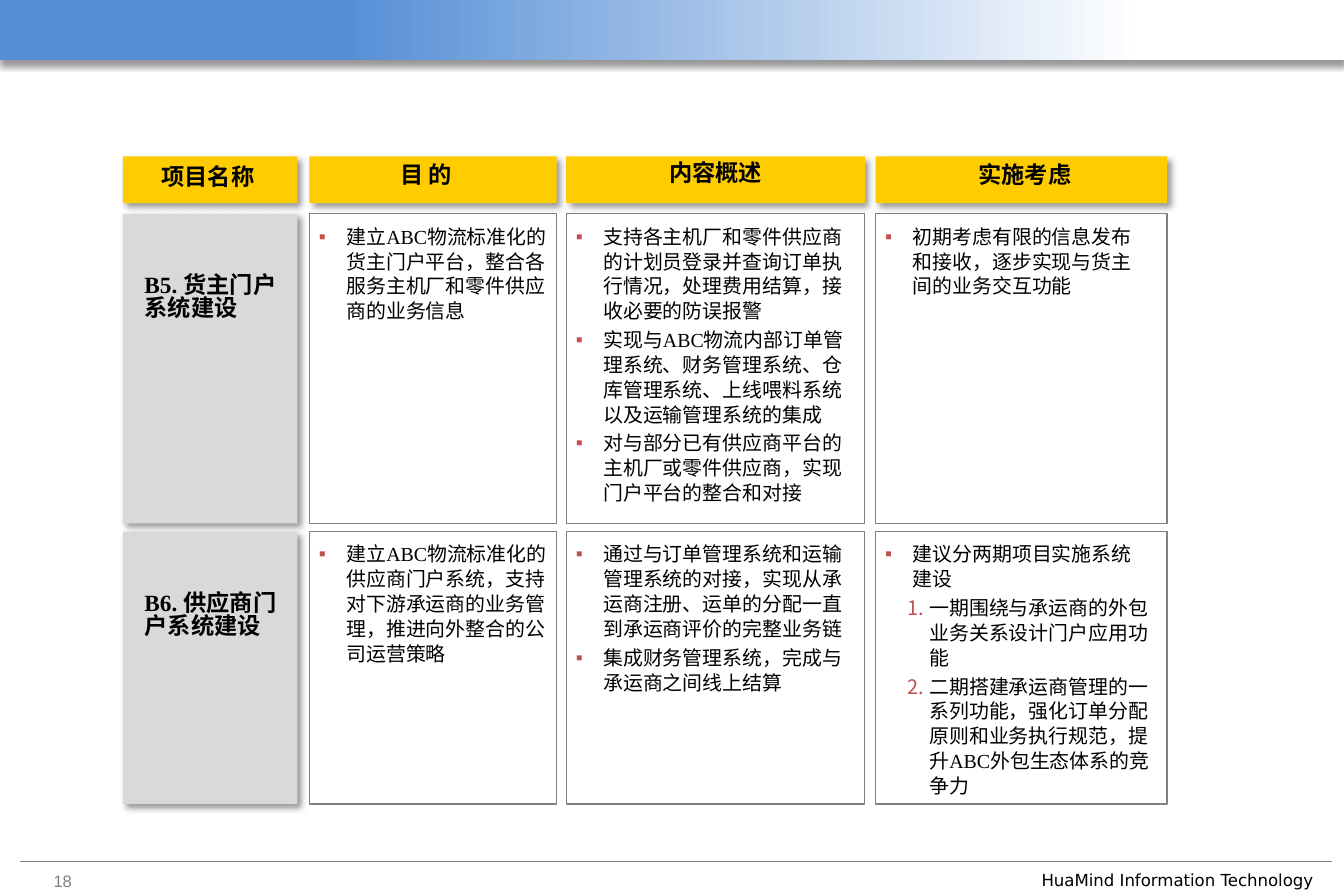
from lxml import etree
from pptx import Presentation
from pptx.dml.color import RGBColor
from pptx.enum.shapes import MSO_CONNECTOR, MSO_SHAPE
from pptx.oxml import parse_xml
from pptx.oxml.ns import qn
from pptx.util import Inches, Pt

RECT = MSO_SHAPE.RECTANGLE
STRAIGHT = MSO_CONNECTOR.STRAIGHT
DRAWING_NS = "http://schemas.openxmlformats.org/drawingml/2006/main"

THEME = {
    "band": "558ED5", "paper": "FFFFFF", "header": "FFCC00", "label": "D9D9D9",
    "rule": "808080", "ink": "000000", "bullet": "C0504D",
    "heading": {"name": "Times New Roman", "size": Pt(14), "bold": True},
    "body": {"name": "Times New Roman", "size": Pt(12)},
    "footer": {"name": "DejaVu Sans", "size": Pt(10)},
    "number": {"name": "Arial", "size": Pt(10)},
}
RGB = {k: RGBColor.from_string(v) for k, v in THEME.items() if isinstance(v, str)}
TIGHT = {"margin_left": 0, "margin_top": 0, "margin_right": 0,
         "margin_bottom": Inches(0.04), "word_wrap": True}

W, H = 11.25, 7.5
prs = Presentation()
prs.slide_width, prs.slide_height = Inches(W), Inches(H)
s = prs.slides.add_slide(prs.slide_layouts[6])


def add_box(x, y, w, h, fill=None, angle=None):
    sp = s.shapes.add_shape(RECT, *map(Inches, (x, y, w, h)))
    sp.shadow.inherit = False
    if fill:
        sp.fill.solid()
        sp.fill.fore_color.rgb = RGB[fill]
        sp.line.fill.background()
    else:
        sp.fill.background()
        sp.line.color.rgb = RGB["rule"]
        sp.line.width = Pt(0.75)
    if angle:
        sp._element.spPr.find(qn("a:effectLst")).append(parse_xml(
            f'<a:outerShdw xmlns:a="{DRAWING_NS}" blurRad="{Pt(4)}" dist="{Pt(3)}" '
            f'dir="{angle * 60000}" algn="tl" rotWithShape="0"><a:srgbClr val="{THEME["ink"]}">'
            '<a:alpha val="40000"/></a:srgbClr></a:outerShdw>'))
    return sp


def add_text(x, y, w, h, lines, style, frame=TIGHT, color="ink", spacing=None):
    tf = s.shapes.add_textbox(*map(Inches, (x, y, w, h))).text_frame
    for name, value in frame.items():
        setattr(tf, name, value)
    for i, line in enumerate(lines):
        p = tf.add_paragraph() if i else tf.paragraphs[0]
        p.line_spacing = spacing
        r = p.add_run()
        r.text = line
        for name, value in THEME[style].items():
            setattr(r.font, name, value)
        r.font.color.rgb = RGB[color]
    return tf


rule = s.shapes.add_connector(STRAIGHT, *map(Inches, (0.17, 7.21, 11.15, 7.21)))
rule.line.color.rgb = RGB["rule"]
rule.line.width = Pt(0.5)
etree.SubElement(rule._element.spPr, qn("a:effectLst"))

band = add_box(0, 0, W, H / 15, "band", 90)
band.fill.gradient()
band.fill.gradient_angle = 180
for stop, (position, color) in zip(band.fill.gradient_stops, ((0.15, "paper"), (0.75, "band"))):
    stop.position = position
    stop.color.rgb = RGB[color]

add_text(8.62, 7.23, 2.65, 0.27, ["HuaMind Information Technology"], "footer", {"word_wrap": False})
add_text(0.35, 7.24, 0.63, 0.3, ["18"], "number", {"word_wrap": True}, "rule")

COLUMNS = [
    {"x": 1.03, "w": 1.46, "head": "项目名称", "head_x": 1.35, "head_y": 1.45},
    {"x": 2.59, "w": 2.07, "head": "目 的", "head_x": 3.35, "head_y": 1.43, "text_w": 1.91},
    {"x": 4.74, "w": 2.5, "head": "内容概述", "head_x": 5.6, "head_y": 1.41, "text_w": 2.36},
    {"x": 7.33, "w": 2.44, "head": "实施考虑", "head_x": 8.19, "head_y": 1.43, "text_w": 2.22},
]
ROWS = [
    {"y": 1.79, "h": 2.59, "name": "B5. 货主门户系统建设", "lists": [
        ["建立ABC物流标准化的货主门户平台，整合各服务主机厂和零件供应商的业务信息"],
        ["支持各主机厂和零件供应商的计划员登录并查询订单执行情况，处理费用结算，接收必要的防误报警",
         "实现与ABC物流内部订单管理系统、财务管理系统、仓库管理系统、上线喂料系统以及运输管理系统的集成",
         "对与部分已有供应商平台的主机厂或零件供应商，实现门户平台的整合和对接"],
        ["初期考虑有限的信息发布和接收，逐步实现与货主间的业务交互功能"]]},
    {"y": 4.45, "h": 2.28, "name": "B6. 供应商门户系统建设", "lists": [
        ["建立ABC物流标准化的供应商门户系统，支持对下游承运商的业务管理，推进向外整合的公司运营策略"],
        ["通过与订单管理系统和运输管理系统的对接，实现从承运商注册、运单的分配一直到承运商评价的完整业务链",
         "集成财务管理系统，完成与承运商之间线上结算"],
        ["建议分两期项目实施系统建设",
         "一期围绕与承运商的外包业务关系设计门户应用功能",
         "二期搭建承运商管理的一系列功能，强化订单分配原则和业务执行规范，提升ABC外包生态体系的竞争力"]]},
]
NUMBERED = ("一期", "二期")

for col in COLUMNS:
    add_box(col["x"], 1.31, col["w"], 0.39, "header", 45)
    add_text(col["head_x"], col["head_y"], 1.39, 0.21, [col["head"]], "heading", spacing=Pt(10.5))

for row in ROWS:
    y, h = row["y"], row["h"]
    add_box(COLUMNS[0]["x"], y, COLUMNS[0]["w"], h, "label", 45)
    add_text(1.21, y + 0.51, 1.16, 0.44, [row["name"]], "heading", spacing=Pt(14))
    for col, items in zip(COLUMNS[1:], row["lists"]):
        add_box(col["x"], y, col["w"], h)
        tf = add_text(col["x"] + 0.08, y + 0.08, col["text_w"], h - 0.15, items, "body", spacing=1.04)
        for p in tf.paragraphs:
            numbered = p.text.startswith(NUMBERED)
            p.space_before = Pt(2.4)
            p.level = int(numbered)
            left, hang = (0.37, 0.18) if numbered else (0.23, 0.23)
            pPr = p._p.get_or_add_pPr()
            pPr.set("marL", str(Inches(left)))
            pPr.set("indent", str(-Inches(hang)))
            bullet_color = etree.SubElement(pPr, qn("a:buClr"))
            etree.SubElement(bullet_color, qn("a:srgbClr"), val=THEME["bullet"])
            etree.SubElement(pPr, qn("a:buFont"), typeface="Arial")
            if numbered:
                etree.SubElement(pPr, qn("a:buAutoNum"), type="arabicPeriod")
            else:
                etree.SubElement(pPr, qn("a:buChar"), char="▪")

prs.save("out.pptx")
